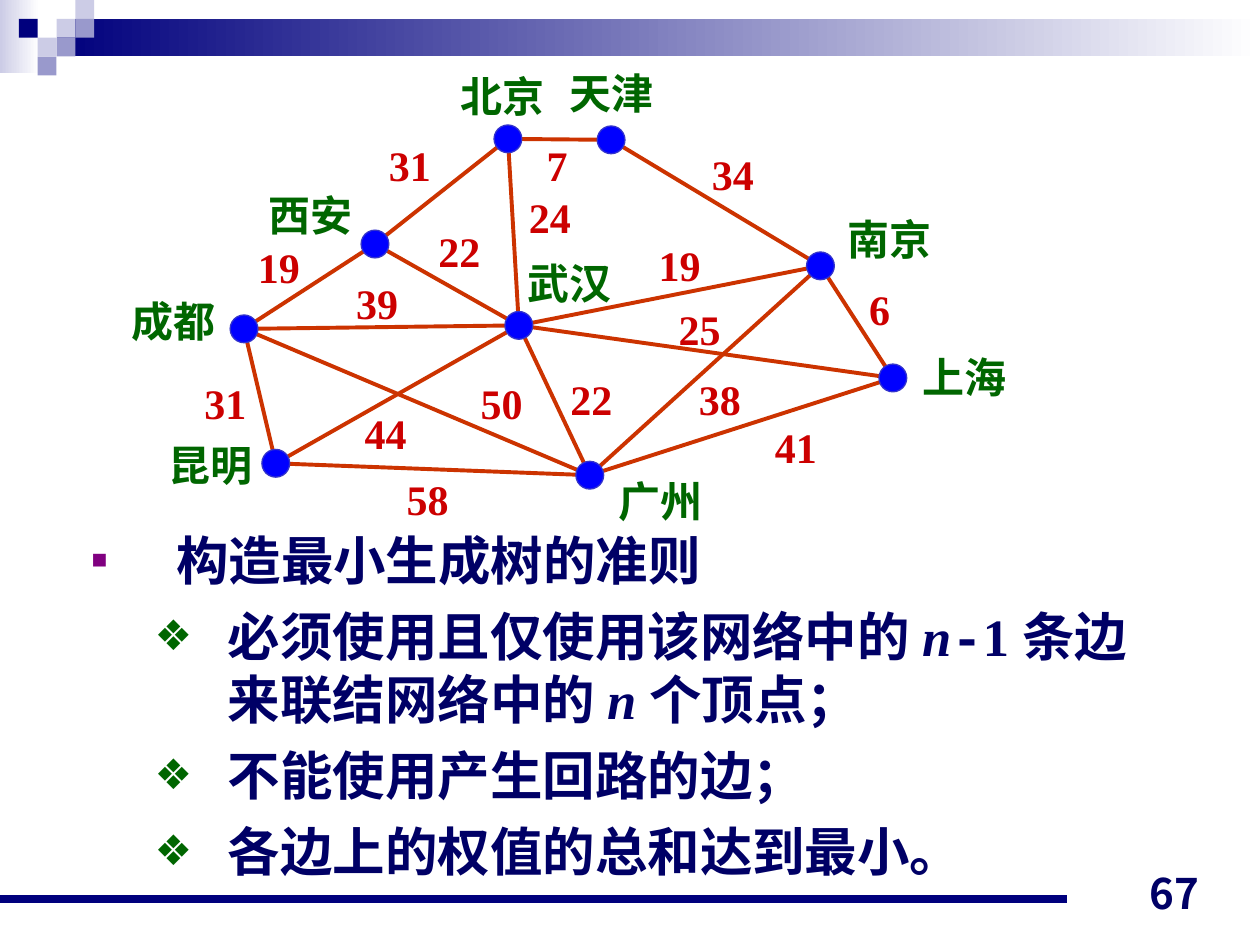
from math import hypot

from lxml import etree
from pptx import Presentation
from pptx.dml.color import RGBColor
from pptx.enum.shapes import MSO_CONNECTOR, MSO_SHAPE
from pptx.enum.text import MSO_ANCHOR, MSO_AUTO_SIZE, PP_ALIGN
from pptx.oxml.ns import qn
from pptx.util import Cm, Pt

RECTANGLE, OVAL = MSO_SHAPE.RECTANGLE, MSO_SHAPE.OVAL
STRAIGHT = MSO_CONNECTOR.STRAIGHT
LEFT, RIGHT = PP_ALIGN.LEFT, PP_ALIGN.RIGHT
TOP, BOTTOM = MSO_ANCHOR.TOP, MSO_ANCHOR.BOTTOM
GROW, FIXED = MSO_AUTO_SIZE.SHAPE_TO_FIT_TEXT, MSO_AUTO_SIZE.NONE

COLORS = {
    "navy": "00007D", "lavender": "CCCCE6", "violet": "9999CC", "white": "FFFFFF",
    "edge": "CC3300", "node": "0000FF", "node line": "3333CC",
    "city": "006600", "weight": "CC0000", "text": "000066", "bullet": "800080",
}
SERIF, SANS, MONO = "Times New Roman", "Arial", "Courier New"
NUMBER_FONT = "Noto Sans CJK JP"

# Content, lengths in cm
# city: (node centre, top left of its label)
CITIES = {
    "北京": ((10.24, 2.80), (9.04, 1.30)),
    "天津": ((12.32, 2.82), (11.23, 1.24)),
    "南京": ((16.54, 5.36), (16.84, 4.17)),
    "上海": ((18.00, 7.62), (18.34, 6.96)),
    "广州": ((11.89, 9.58), (12.22, 9.47)),
    "西安": ((7.56, 4.92), (5.16, 3.70)),
    "成都": ((4.92, 6.63), (2.41, 5.84)),
    "昆明": ((5.56, 9.34), (3.14, 8.74)),
    "武汉": ((10.46, 6.56), (10.39, 5.07)),
}
# (from, to, weight, top left of the weight)
EDGES = [
    ("天津", "南京", 34, (14.10, 2.87)),
    ("北京", "天津", 7, (10.77, 2.69)),
    ("南京", "上海", 6, (17.27, 5.59)),
    ("广州", "上海", 41, (15.37, 8.38)),
    ("昆明", "广州", 58, (7.95, 9.42)),
    ("西安", "北京", 31, (7.59, 2.69)),
    ("北京", "武汉", 24, (10.41, 3.73)),
    ("武汉", "南京", 19, (13.03, 4.70)),
    ("武汉", "上海", 25, (13.43, 5.99)),
    ("广州", "南京", 38, (13.84, 7.41)),
    ("武汉", "广州", 22, (11.25, 7.41)),
    ("西安", "武汉", 22, (8.59, 4.42)),
    ("成都", "西安", 19, (4.95, 4.74)),
    ("昆明", "成都", 31, (3.87, 7.49)),
    ("成都", "武汉", 39, (6.93, 5.46)),
    ("昆明", "武汉", 44, (7.10, 8.10)),
    ("成都", "广州", 50, (9.44, 7.49)),
]
# paragraph: (level, [(text, font, italic)])
CRITERIA = [
    (0, [("构造最小生成树的准则", SANS, False)]),
    (1, [("必须使用且仅使用该网络中的 ", SERIF, False), ("n", SERIF, True),
         ("-", MONO, False), ("1 条边来联结网络中的 ", SERIF, False),
         ("n ", SERIF, True), ("个顶点；", SERIF, False)]),
    (1, [("不能使用产生回路的边；", SERIF, False)]),
    (1, [("各边上的权值的总和达到最小。", SERIF, False)]),
]
# level: (bullet, colour, size in percent, left margin, hanging indent)
BULLETS = [("■", "bullet", 50, 1.70, 1.70), ("❖", "city", 80, 2.74, 1.47)]
# (column, row, colour) on a square grid
SQUARES = [(3, 1, "lavender"), (4, 0, "lavender"), (4, 1, "violet"), (2, 2, "lavender"),
           (1, 1, "navy"), (3, 2, "violet"), (2, 3, "violet")]
SQUARE = 0.38
NODE = 0.56
TRIM = 0.22  # an edge stops this far from the node centre


def color(name):
    return RGBColor.from_string(COLORS[name])


def add_block(slide, kind, left, top, width, height, fill, line=None):
    """Draw a shape; a pair of fill colours gives a left-to-right gradient."""
    shape = slide.shapes.add_shape(kind, Cm(left), Cm(top), Cm(width), Cm(height))
    shape.shadow.inherit = False
    if isinstance(fill, tuple):
        shape.fill.gradient()
        shape.fill.gradient_angle = 0
        for stop, name in zip(shape.fill.gradient_stops, fill):
            stop.color.rgb = color(name)
    else:
        shape.fill.solid()
        shape.fill.fore_color.rgb = color(fill)
    if line:
        shape.line.color.rgb = color(line)
        shape.line.width = Pt(0.75)
    else:
        shape.line.fill.background()


def add_line(slide, start, end, name, width):
    connector = slide.shapes.add_connector(STRAIGHT, *map(Cm, (*start, *end)))
    connector.line.color.rgb = color(name)
    connector.line.width = Pt(width)
    etree.SubElement(connector._element.spPr, qn("a:effectLst"))


def add_bullet(paragraph, level):
    character, name, percent, margin, hanging = BULLETS[level]
    properties = paragraph._p.get_or_add_pPr()
    properties.set("marL", str(Cm(margin)))
    properties.set("indent", str(-Cm(hanging)))
    bullet_color = etree.SubElement(properties, qn("a:buClr"))
    etree.SubElement(bullet_color, qn("a:srgbClr"), val=COLORS[name])
    etree.SubElement(properties, qn("a:buSzPct"), val=str(percent * 1000))
    etree.SubElement(properties, qn("a:buFont"), typeface=SANS)
    etree.SubElement(properties, qn("a:buChar"), char=character)


def add_text(slide, paragraphs, left, top, width, height, *, size=24, name="text",
             wrap=False, align=LEFT, anchor=TOP, bullets=False):
    """Write paragraphs given as (level, runs), a run as (text, font, italic)."""
    box = slide.shapes.add_textbox(Cm(left), Cm(top), Cm(width), Cm(height))
    frame = box.text_frame
    frame.word_wrap = wrap
    frame.auto_size = FIXED if wrap else GROW
    frame.vertical_anchor = anchor
    for index, (level, runs) in enumerate(paragraphs):
        paragraph = frame.add_paragraph() if index else frame.paragraphs[0]
        paragraph.alignment = align
        if bullets:
            paragraph.level = level
            paragraph.line_spacing = Pt(36)
            paragraph.space_before = Pt(7.5)
            add_bullet(paragraph, level)
        for text, font, italic in runs:
            run = paragraph.add_run()
            run.text = text
            run.font.name = font
            run.font.size = Pt(size)
            run.font.bold = True
            run.font.italic = italic
            run.font.color.rgb = color(name)


def trimmed(start, end):
    """Shorten the segment between two node centres at both ends."""
    delta_x, delta_y = end[0] - start[0], end[1] - start[1]
    share = TRIM / hypot(delta_x, delta_y)
    step_x, step_y = delta_x * share, delta_y * share
    return (start[0] + step_x, start[1] + step_y), (end[0] - step_x, end[1] - step_y)


def main():
    presentation = Presentation()
    presentation.slide_width, presentation.slide_height = Cm(25.4), Cm(19.05)
    slide = presentation.slides.add_slide(presentation.slide_layouts[6])

    # Header band, squares and footer rule
    add_block(slide, RECTANGLE, 0, 0, 0.79, 1.47, ("lavender", "white"))
    add_block(slide, RECTANGLE, 1.14, 0.38, 24.26, 0.76, ("navy", "white"))
    for column, row, name in SQUARES:
        add_block(slide, RECTANGLE, column * SQUARE, row * SQUARE, SQUARE, SQUARE, name)
    add_line(slide, (0, 18.13), (21.51, 18.13), "navy", 4.5)

    # Criteria
    add_text(slide, CRITERIA, 1.6, 10.52, 22.43, 7.72, size=30, wrap=True, bullets=True)

    # Network: edges, nodes, then labels
    for start, end, _, _ in EDGES:
        add_line(slide, *trimmed(CITIES[start][0], CITIES[end][0]), "edge", 2.25)
    for (x, y), _ in CITIES.values():
        add_block(slide, OVAL, x - NODE / 2, y - NODE / 2, NODE, NODE, "node", "node line")
    for city, (_, label) in CITIES.items():
        add_text(slide, [(0, [(city, SERIF, False)])], *label, 2.2, 1.27, name="city")
    for _, _, weight, label in EDGES:
        width = 1.35 if weight > 9 else 0.91
        add_text(slide, [(0, [(str(weight), SERIF, False)])], *label, width, 1.27,
                 name="weight")

    # Slide number
    add_text(slide, [(0, [("67", NUMBER_FONT, False)])], 18.5, 17.35, 5.92, 1.27,
             wrap=True, align=RIGHT, anchor=BOTTOM)

    presentation.save("out.pptx")


if __name__ == "__main__":
    main()
